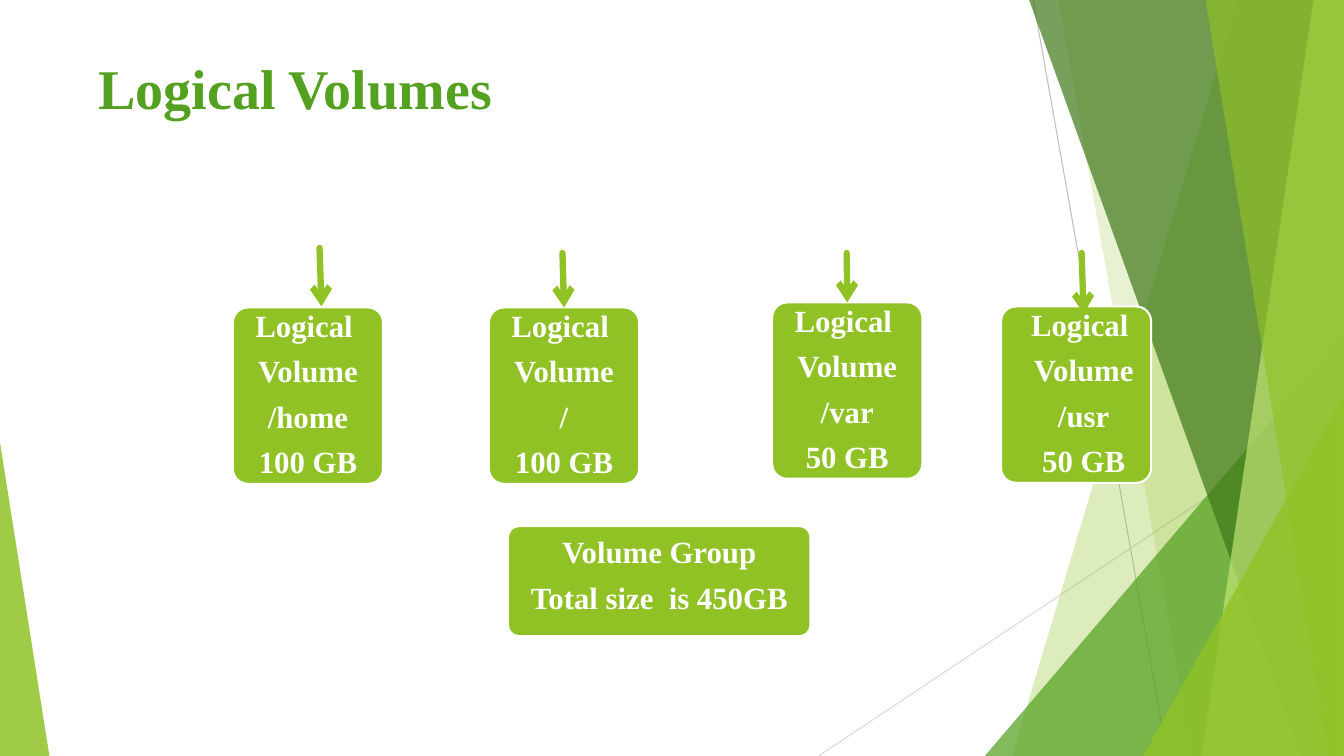
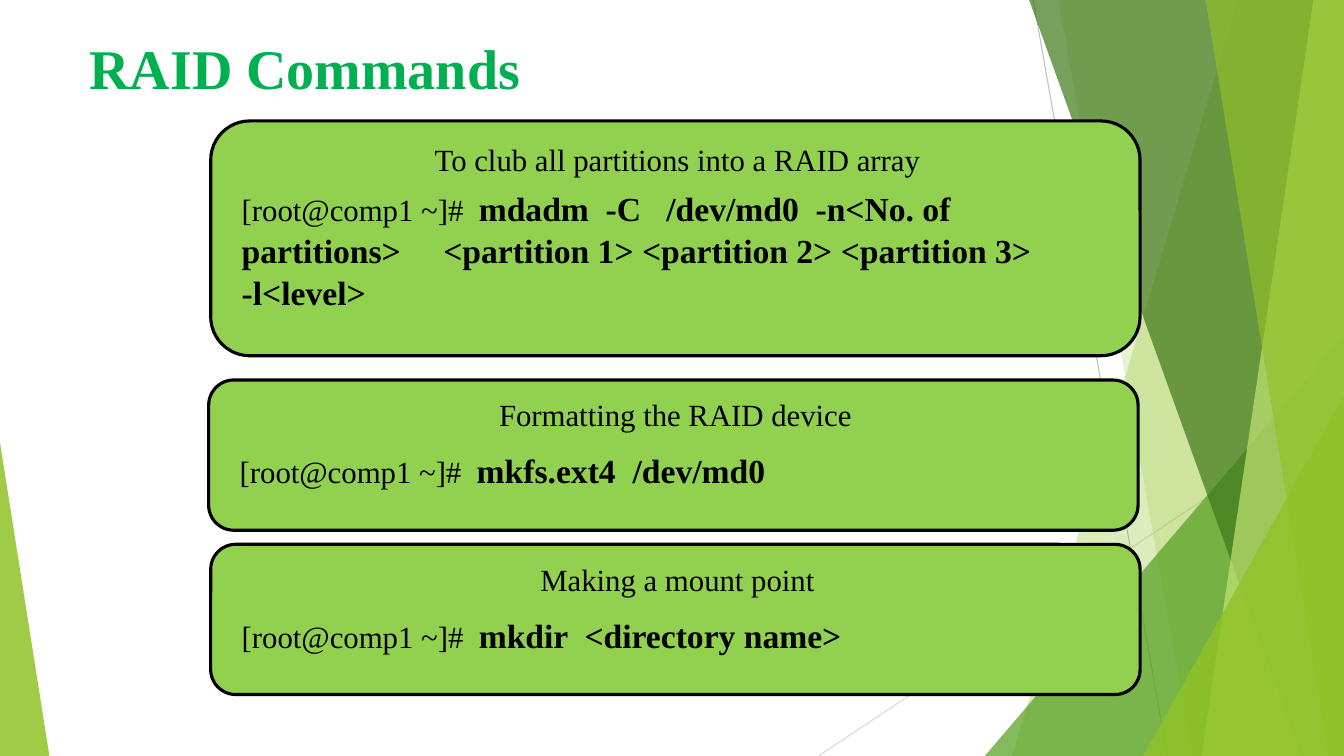
from dataclasses import dataclass

from lxml.etree import SubElement
from pptx import Presentation
from pptx.dml.color import RGBColor
from pptx.enum.shapes import MSO_CONNECTOR, MSO_SHAPE
from pptx.enum.text import MSO_ANCHOR, PP_ALIGN
from pptx.oxml.ns import qn
from pptx.util import Inches, Pt

HUES = {
    "lime": "90C226", "green": "54A021", "moss": "3F7819", "pale": "C0E474",
    "leaf": "92D050", "mint": "00B050", "white": "FFFFFF", "black": "000000",
    "gray": "BFBFBF", "mist": "D9D9D9",
}
FACE = "Times New Roman"
CELL = Inches(0.1)
COLS, ROWS = 133.33, 75
PROMPT = "[root@comp1 ~]#  "


@dataclass(frozen=True)
class Wedge:
    """Band from the top edge to the bottom edge, open to the right."""
    top: float
    base: float
    hue: str
    alpha: int


@dataclass(frozen=True)
class Peak:
    """Right triangle standing on the bottom edge."""
    left: float
    top: float
    width: float
    lean: int
    hue: str
    alpha: int


@dataclass(frozen=True)
class Ray:
    """Straight line between two grid points."""
    start: tuple[float, float]
    end: tuple[float, float]
    hue: str
    weight: float = 0.75


@dataclass(frozen=True)
class Block:
    """Rounded box with centred lines of text."""
    left: float
    top: float
    lines: tuple[str, ...]
    width: float = 14.9
    height: float = 17.5
    inset: float = 0
    lift: float = 0


@dataclass(frozen=True)
class Volume:
    """Logical volume with the arrow that points at it."""
    block: Block
    start: tuple[float, float]
    tip: tuple[float, float]
    joined: bool = False


@dataclass(frozen=True)
class Panel:
    """Framed command with its caption."""
    left: float
    top: float
    height: float
    head: float
    body: float
    title: str
    code: str


RAYS = (
    Ray((102.5, 0), (115.8, ROWS), "gray"),
    Ray((COLS, 40.3), (81.2, ROWS), "mist"),
)
DECOR = (
    Wedge(122.8, 100.4, "lime", 30),
    Wedge(105, 118.3, "lime", 20),
    Peak(97.7, 33.3, 35.6, 1, "green", 72),
    Wedge(102.1, 129.1, "moss", 70),
    Wedge(130.3, 119.2, "pale", 70),
    Wedge(119.6, 131.8, "lime", 65),
    Peak(113.4, 39.3, 19.9, 1, "lime", 80),
    Peak(0, 43.9, 4.9, 0, "lime", 85),
)


def store(name: str, size: str) -> tuple[str, ...]:
    """Return the text lines of a logical volume."""
    return "Logical ", "Volume", name, size


VOLUMES = (
    Volume(Block(23.1, 30.5, store("/home", "100 GB")), (31.7, 24.6), (31.9, 30.4)),
    Volume(Block(48.5, 30.5, store("/", "100 GB")), (55.8, 25.1), (55.9, 30.6), True),
    Volume(Block(76.6, 30, store("/var", "50 GB")), (84, 25.1), (84.1, 30.3), True),
    Volume(Block(99.3, 30.4, store("/usr", "50 GB"), inset=1.5), (107.3, 25.1), (107.5, 31.1)),
)
POOL = Block(50.4, 52.2, ("Volume Group", "Total size  is 450GB"), 30, 10.9, lift=0.9)
PANELS = (
    Panel(20.9, 12, 23.3, 1.5, 6, "To club all partitions into a RAID array",
          "mdadm  -C   /dev/md0  -n<No. of partitions> \t"
          "<partition 1> <partition 2> <partition 3>  -l<level>"),
    Panel(20.7, 37.7, 14.9, 1.1, 6.3, "Formatting the RAID device", "mkfs.ext4  /dev/md0"),
    Panel(20.9, 54, 14.9, 1.1, 6.3, "Making a mount point", "mkdir  <directory name>"),
)


def grid(*cells: float) -> list[int]:
    """Turn grid cells into lengths."""
    return [round(cell * CELL) for cell in cells]


def tint(hue: str) -> RGBColor:
    """Look up a colour."""
    return RGBColor.from_string(HUES[hue])


def coat(shape, hue: str, alpha: int = 100) -> None:
    """Fill a shape without line or shadow."""
    shape.shadow.inherit = False
    shape.fill.solid()
    shape.fill.fore_color.rgb = tint(hue)
    shape.line.fill.background()
    if alpha < 100:
        color = shape.fill._xPr.find(qn("a:solidFill"))[0]
        SubElement(color, qn("a:alpha")).set("val", str(alpha * 1000))


def ink(run, size: float, hue: str, bold: bool = False) -> None:
    """Format a run."""
    run.font.name = FACE
    run.font.size = Pt(size)
    run.font.bold = bold
    run.font.color.rgb = tint(hue)


def label(slide, left: float, top: float, width: float, height: float, text: str):
    """Add a wrapping text box and return its paragraph."""
    frame = slide.shapes.add_textbox(*grid(left, top, width, height)).text_frame
    frame.word_wrap = True
    frame.text = text
    return frame.paragraphs[0]


def line(slide, ray: Ray):
    """Draw a plain straight line."""
    link = slide.shapes.add_connector(MSO_CONNECTOR.STRAIGHT, *grid(*ray.start, *ray.end))
    link.line.color.rgb = tint(ray.hue)
    link.line.width = Pt(ray.weight)
    SubElement(link._element.spPr, qn("a:effectLst"))
    return link


def wedge(slide, item: Wedge) -> None:
    """Draw a see-through band."""
    first, *rest = [tuple(grid(*spot)) for spot in (
        (item.top, 0), (COLS, 0), (COLS, ROWS), (item.base, ROWS))]
    path = slide.shapes.build_freeform(*first)
    path.add_line_segments(rest, close=True)
    coat(path.convert_to_shape(), item.hue, item.alpha)


def peak(slide, item: Peak) -> None:
    """Draw a see-through triangle."""
    shape = slide.shapes.add_shape(
        MSO_SHAPE.ISOSCELES_TRIANGLE,
        *grid(item.left, item.top, item.width, ROWS - item.top))
    shape.adjustments[0] = item.lean
    coat(shape, item.hue, item.alpha)


def start(deck, title: str, left: float, top: float, hue: str):
    """Add a slide with the shared backdrop and title."""
    slide = deck.slides.add_slide(deck.slide_layouts[6])
    for ray in RAYS:
        line(slide, ray)
    for item in DECOR:
        if isinstance(item, Wedge):
            wedge(slide, item)
        else:
            peak(slide, item)
    ink(label(slide, left, top, 94, 14.4, title).runs[0], 40, hue, True)
    return slide


def block(slide, item: Block):
    """Draw a rounded box with its text."""
    shape = slide.shapes.add_shape(
        MSO_SHAPE.ROUNDED_RECTANGLE,
        *grid(item.left, item.top, item.width, item.height))
    shape.adjustments[0] = 0.1
    coat(shape, "lime")
    shape.line.color.rgb = tint("white")
    shape.line.width = Pt(1.5)
    frame = shape.text_frame
    frame.word_wrap = True
    frame.vertical_anchor = MSO_ANCHOR.MIDDLE
    frame.margin_left, frame.margin_bottom = grid(item.inset, item.lift)
    frame.margin_right = frame.margin_top = 0
    frame.text = "\n".join(item.lines)
    for para in frame.paragraphs:
        para.alignment = PP_ALIGN.CENTER
        para.line_spacing = 0.9
        para.space_after = Pt(8.8)
        ink(para.runs[0], 22, "white", True)
    return shape


def volume(slide, item: Volume) -> None:
    """Draw a logical volume and its arrow."""
    shape = block(slide, item.block)
    link = line(slide, Ray(item.start, item.tip, "lime", 4.5))
    if item.joined:
        link.end_connect(shape, 0)
    stroke = link.line._get_or_add_ln()
    stroke.set("cap", "rnd")
    SubElement(stroke, qn("a:tailEnd")).set("type", "arrow")


def panel(slide, item: Panel) -> None:
    """Draw a framed command."""
    shape = slide.shapes.add_shape(
        MSO_SHAPE.ROUNDED_RECTANGLE, *grid(item.left, item.top, 92.2, item.height))
    coat(shape, "leaf")
    shape.line.color.rgb = tint("black")
    shape.line.width = Pt(2.25)
    left = item.left + 2.1
    head = label(slide, left, item.top + item.head, 88.4, 4.7, item.title)
    head.alignment = PP_ALIGN.CENTER
    ink(head.runs[0], 22, "black")
    body = label(slide, left, item.top + item.body, 87, 5.2, PROMPT)
    body.line_spacing = Pt(30)
    ink(body.runs[0], 22, "black")
    code = body.add_run()
    code.text = item.code
    ink(code, 24, "black", True)


def main() -> None:
    """Build and save the deck."""
    deck = Presentation()
    deck.slide_width, deck.slide_height = grid(COLS, ROWS)
    slide = start(deck, "Logical Volumes", 8.8, 4.8, "green")
    for item in VOLUMES:
        volume(slide, item)
    block(slide, POOL)
    slide = start(deck, "RAID Commands", 7.9, 2.8, "mint")
    for item in PANELS:
        panel(slide, item)
    deck.save("out.pptx")


if __name__ == "__main__":
    main()
